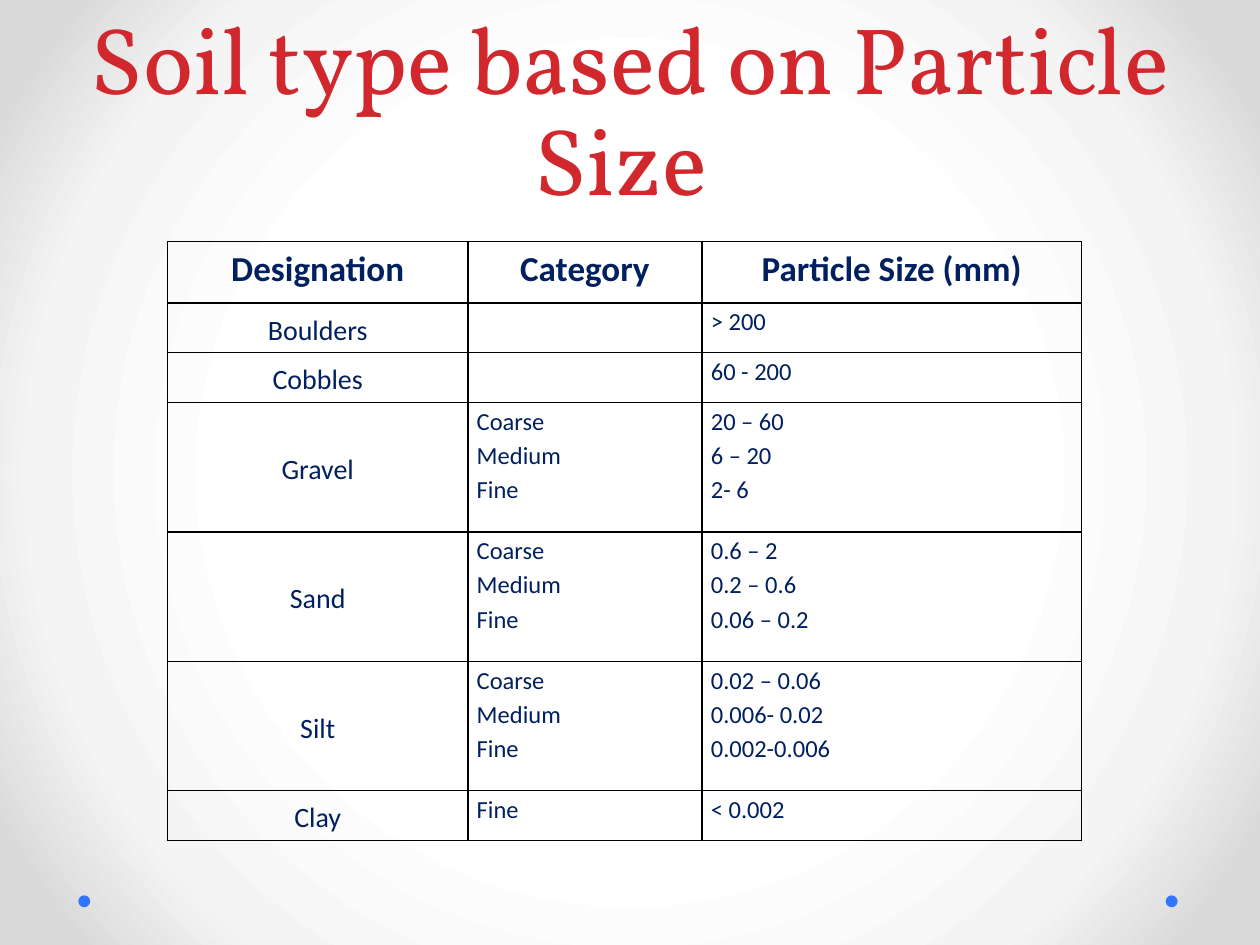
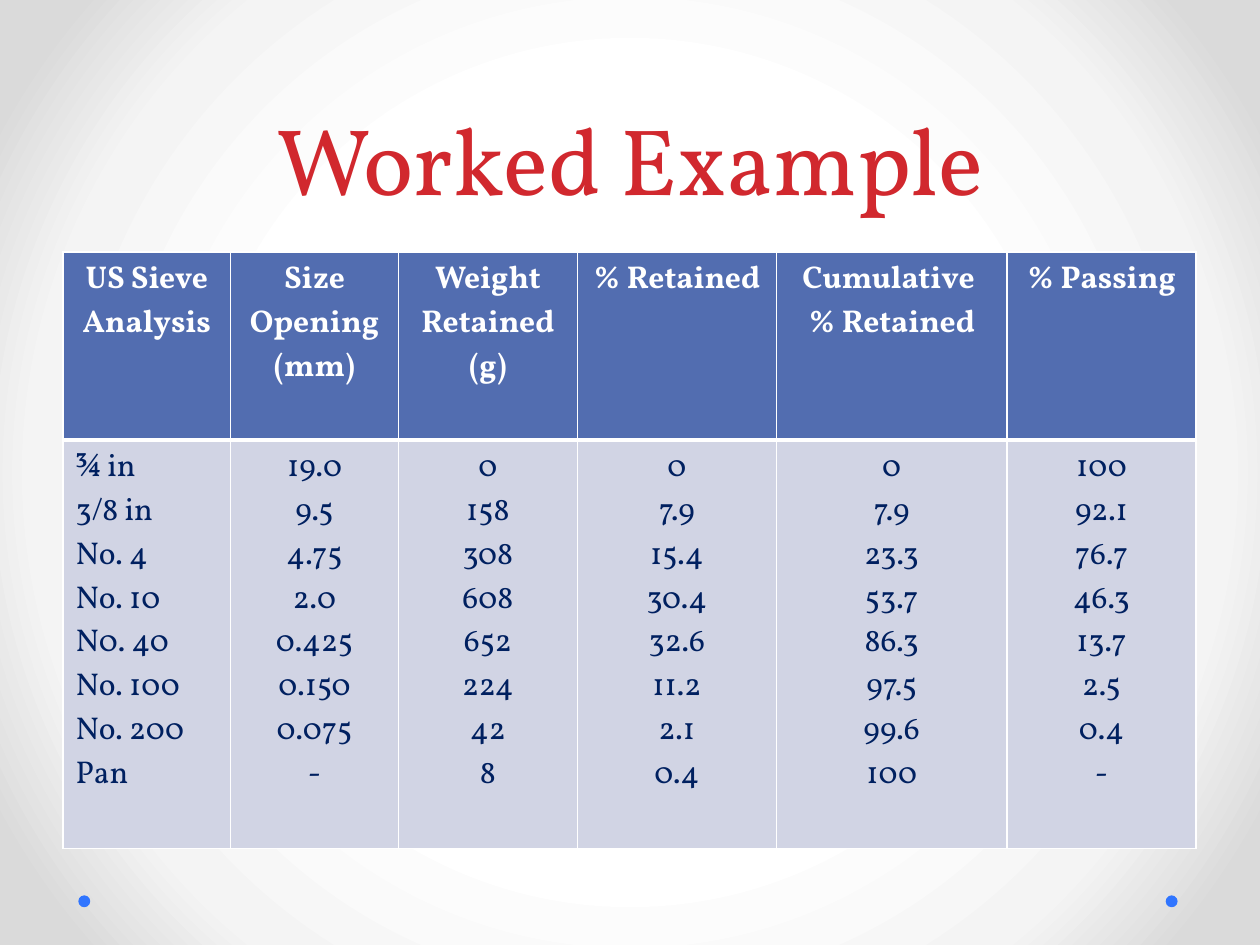
"""Two slides on soil particle sizes and a worked sieve analysis."""
from lxml import etree
from pptx import Presentation
from pptx.dml.color import RGBColor
from pptx.enum.shapes import MSO_SHAPE
from pptx.enum.text import MSO_ANCHOR, PP_ALIGN
from pptx.oxml import parse_xml
from pptx.oxml.ns import nsdecls, qn
from pptx.util import Cm, Pt

OVAL = MSO_SHAPE.OVAL
TOP, MIDDLE, BOTTOM = MSO_ANCHOR.TOP, MSO_ANCHOR.MIDDLE, MSO_ANCHOR.BOTTOM
LEFT, CENTER = PP_ALIGN.LEFT, PP_ALIGN.CENTER

RED = RGBColor(0xD1, 0x28, 0x2E)
NAVY = RGBColor(0x00, 0x20, 0x60)
BLACK = RGBColor(0x00, 0x00, 0x00)
WHITE = RGBColor(0xFF, 0xFF, 0xFF)
DOT_BLUE = RGBColor(0x30, 0x75, 0xFF)
HEADER_BLUE = RGBColor(0x52, 0x6D, 0xB0)
BODY_BLUE = RGBColor(0xD1, 0xD4, 0xE4)
PALE_GREY = RGBColor(0xF4, 0xF4, 0xF4)
EDGE_GREY = RGBColor(0xDA, 0xDA, 0xDA)

BODY_FONT = "Calibri"
DISPLAY_FONT = "Vollkorn"
PLAIN_TABLE_STYLE = "{2D5ABB26-0587-4C30-8999-92F81FD0307C}"


def add_grid(page, left, top, widths, heights):
    """Add an unstyled table with the given column widths and row heights in cm."""
    frame = page.shapes.add_table(len(heights), len(widths), Cm(left), Cm(top),
                                  Cm(sum(widths)), Cm(sum(heights)))
    frame.element.find(".//" + qn("a:tableStyleId")).text = PLAIN_TABLE_STYLE
    table = frame.table
    table.first_row = table.horz_banding = False
    for column, width in zip(table.columns, widths):
        column.width = Cm(width)
    for row, height in zip(table.rows, heights):
        row.height = Cm(height)
    return table


def style_cell(cell, text, font, size, colour, align, border, widths, bold=False, spacing=None):
    """Write a cell's text and draw its left, right, top and bottom borders."""
    cell.text = text
    for paragraph in cell.text_frame.paragraphs:
        paragraph.alignment = align
        paragraph.line_spacing = spacing
        paragraph.font.name = font
        paragraph.font.size = Pt(size)
        paragraph.font.bold = bold
        paragraph.font.color.rgb = colour
    properties = cell._tc.get_or_add_tcPr()
    for side, width in zip("LRTB", widths):
        line = etree.SubElement(properties, qn(f"a:ln{side}"), w=str(Pt(width)))
        solid = etree.SubElement(line, qn("a:solidFill"))
        etree.SubElement(solid, qn("a:srgbClr"), val=str(border))


deck = Presentation()
deck.slide_width, deck.slide_height = Cm(25.4), Cm(19.05)

master = deck.slide_master
master.background.fill.solid()
stops = "".join(f'<a:gs pos="{position * 1000}"><a:srgbClr val="{colour}"/></a:gs>'
                for position, colour in ((50, WHITE), (76, PALE_GREY), (92, EDGE_GREY)))
gradient = parse_xml(
    f'<a:gradFill {nsdecls("a")} rotWithShape="1"><a:gsLst>{stops}</a:gsLst>'
    '<a:path path="circle"><a:fillToRect l="50000" t="50000" r="50000" b="50000"/></a:path>'
    '</a:gradFill>')
background = master.element.find(".//" + qn("p:bgPr"))
background.replace(background[0], gradient)

pages = []
for title in ("Soil type based on Particle Size ", "Worked Example"):
    page = deck.slides.add_slide(deck.slide_layouts[6])
    pages.append(page)
    for dot_left in (23.5, 1.58):
        dot = page.shapes.add_shape(OVAL, Cm(dot_left), Cm(18.05), Cm(0.24), Cm(0.24))
        dot.shadow.inherit = False
        dot.fill.solid()
        dot.fill.fore_color.rgb = DOT_BLUE
        dot.line.fill.background()
    box = page.shapes.add_textbox(Cm(1.27), Cm(0), Cm(22.86), Cm(4.45))
    box.text_frame.word_wrap = True
    box.text_frame.vertical_anchor = BOTTOM
    heading = box.text_frame.paragraphs[0]
    heading.text = title
    heading.alignment = CENTER
    heading.line_spacing = Pt(58)
    heading.font.name = DISPLAY_FONT
    heading.font.size = Pt(54)
    heading.font.color.rgb = RED

soil_page, sieve_page = pages

GRADES = "Coarse\nMedium\nFine"
soil_rows = (
    ("Designation", "Category", "Particle Size (mm)"),
    ("Boulders", "", "> 200"),
    ("Cobbles", "", "60 - 200"),
    ("Gravel", GRADES, "20 – 60\n6 – 20\n2- 6"),
    ("Sand", GRADES, "0.6 – 2\n0.2 – 0.6\n0.06 – 0.2"),
    ("Silt", GRADES, "0.02 – 0.06\n0.006- 0.02\n0.002-0.006"),
    ("Clay", "Fine", "< 0.002"),
)
soil_heights = [1.24] + [2.61 if row[1] == GRADES else 1 for row in soil_rows[1:]]
soil_table = add_grid(soil_page, 3.38, 4.87, (6.05, 4.72, 7.65), soil_heights)
for row_index, row in enumerate(soil_rows):
    for column_index, text in enumerate(row):
        is_header = row_index == 0
        is_name = column_index == 0
        cell = soil_table.cell(row_index, column_index)
        cell.margin_left = cell.margin_right = Cm(0.18)
        cell.margin_top = cell.margin_bottom = Cm(0)
        cell.vertical_anchor = MIDDLE if is_name and not is_header else TOP
        style_cell(cell, text, BODY_FONT, 20 if is_header else 16 if is_name else 14, NAVY,
                   CENTER if is_header or is_name else LEFT, BLACK, (1, 1, 1, 1),
                   bold=is_header, spacing=1.15)
        cell.fill.background()

sieve_columns = (
    (3.38, "US Sieve\nAnalysis",
     "¾ in\n3/8 in\nNo. 4\nNo. 10\nN0. 40\nNo. 100\nNo. 200\nPan"),
    (3.38, "Size Opening (mm)", "19.0\n9.5\n4.75\n2.0\n0.425\n0.150\n0.075\n-"),
    (3.61, "Weight Retained (g)", "0\n158\n308\n608\n652\n224\n42\n8"),
    (4.01, "% Retained", "0\n7.9\n15.4\n30.4\n32.6\n11.2\n2.1\n0.4"),
    (4.65, "Cumulative \n% Retained", "0\n7.9\n23.3\n53.7\n86.3\n97.5\n99.6\n100"),
    (3.81, "% Passing", "100\n92.1\n76.7\n46.3\n13.7\n2.5\n0.4\n-"),
)
sieve_table = add_grid(sieve_page, 1.27, 5.08, [column[0] for column in sieve_columns],
                       (3.79, 8.23))
for column_index, (_, header, values) in enumerate(sieve_columns):
    header_cell = sieve_table.cell(0, column_index)
    style_cell(header_cell, header, DISPLAY_FONT, 18, WHITE, CENTER, WHITE, (1, 1, 1, 3),
               bold=True)
    values_cell = sieve_table.cell(1, column_index)
    style_cell(values_cell, values, DISPLAY_FONT, 18, NAVY, CENTER if column_index else LEFT,
               WHITE, (1, 1, 3, 1))
    for cell, colour in ((header_cell, HEADER_BLUE), (values_cell, BODY_BLUE)):
        cell.fill.solid()
        cell.fill.fore_color.rgb = colour

deck.save("out.pptx")
